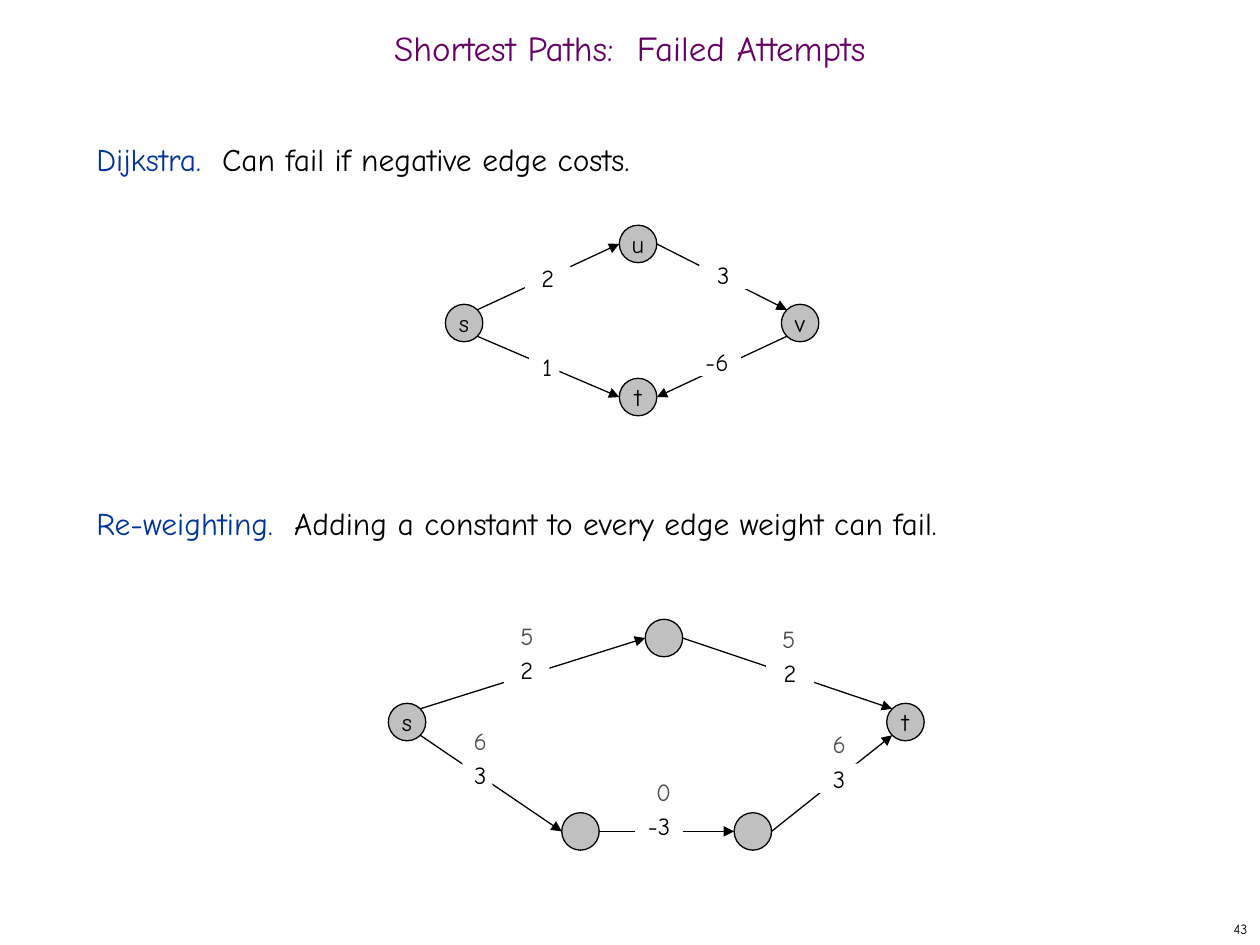
import math

import pptx
import pptx.dml.color
import pptx.enum.shapes
import pptx.enum.text
import pptx.oxml
import pptx.oxml.ns
import pptx.util

Pt = pptx.util.Pt
SHAPES = pptx.enum.shapes.MSO_SHAPE
ALIGN = pptx.enum.text.PP_ALIGN
MIDDLE = pptx.enum.text.MSO_ANCHOR.MIDDLE
INSETS = dict(margin_left=Pt(7.2), margin_right=Pt(7.2),
              margin_top=Pt(3.6), margin_bottom=Pt(3.6))
NO_INSETS = dict.fromkeys(INSETS, 0)


def color(value):
    return pptx.dml.color.RGBColor.from_string(value)


def apply(target, values):
    for name, value in values.items():
        setattr(target, name, value)


class GraphSlide:
    font = "Comic Neue"
    black, white, gray = "000000", "FFFFFF", "C0C0C0"
    purple, blue, dim = "660066", "003399", "4D4D4D"
    label_size = 14
    line_width = 0.75
    diameter = 21.4
    label_height = 16.8

    def __init__(self, slide):
        self.slide = slide

    def add_runs(self, paragraph, runs, size, **layout):
        apply(paragraph, layout)
        for text, hue in runs:
            run = paragraph.add_run()
            run.text = text
            apply(run.font, dict(name=self.font, size=Pt(size)))
            run.font.color.rgb = color(hue)

    def text(self, box, paragraphs, size, frame, **layout):
        shape = self.slide.shapes.add_textbox(*map(Pt, box))
        apply(shape.text_frame, INSETS | frame)
        for index, (runs, gap) in enumerate(paragraphs):
            paragraph = (shape.text_frame.add_paragraph() if index
                         else shape.text_frame.paragraphs[0])
            self.add_runs(paragraph, runs, size, space_before=Pt(gap), **layout)

    def node(self, x, y, name=""):
        radius = self.diameter / 2
        shape = self.slide.shapes.add_shape(
            SHAPES.OVAL, Pt(x - radius), Pt(y - radius), Pt(self.diameter), Pt(self.diameter))
        shape.shadow.inherit = False
        shape.fill.solid()
        shape.fill.fore_color.rgb = color(self.gray)
        shape.line.color.rgb = color(self.black)
        shape.line.width = Pt(self.line_width)
        if name:
            apply(shape.text_frame, INSETS | dict(word_wrap=False, vertical_anchor=MIDDLE))
            self.add_runs(shape.text_frame.paragraphs[0], [(name, self.black)],
                          self.label_size, alignment=ALIGN.CENTER)

    def rim(self, center, degrees):
        x, y = center
        angle = math.radians(degrees)
        radius = self.diameter / 2
        return Pt(x + radius * math.cos(angle)), Pt(y + radius * math.sin(angle))

    def edge(self, start, start_angle, end, end_angle):
        connector = self.slide.shapes.add_connector(
            pptx.enum.shapes.MSO_CONNECTOR.STRAIGHT,
            *self.rim(start, start_angle), *self.rim(end, end_angle))
        connector.line.color.rgb = color(self.black)
        connector.line.width = Pt(self.line_width)
        properties = connector.element.spPr
        namespace = pptx.oxml.ns.nsdecls("a")
        properties.find(pptx.oxml.ns.qn("a:ln")).append(
            pptx.oxml.parse_xml(f'<a:tailEnd {namespace} type="triangle"/>'))
        properties.append(pptx.oxml.parse_xml(f"<a:effectLst {namespace}/>"))

    def weight(self, value, left, top, width, inset=0):
        shape = self.slide.shapes.add_shape(
            SHAPES.RECTANGLE, Pt(left), Pt(top), Pt(width), Pt(self.label_height))
        shape.shadow.inherit = False
        shape.fill.solid()
        shape.fill.fore_color.rgb = color(self.white)
        shape.line.fill.background()
        apply(shape.text_frame, NO_INSETS | dict(
            margin_left=Pt(inset), word_wrap=True,
            vertical_anchor=pptx.enum.text.MSO_ANCHOR.TOP))
        self.add_runs(shape.text_frame.paragraphs[0], [(value, self.black)],
                      self.label_size, alignment=ALIGN.CENTER)

    def new_weight(self, value, left, top):
        self.text((left, top, 22.3, 24), [([(value, self.dim)], 0)],
                  self.label_size, dict(word_wrap=False))

    def graph(self, nodes, edges, weights):
        for name, center in nodes.items():
            self.node(*center, name if len(name) == 1 else "")
        for start, start_angle, end, end_angle in edges:
            self.edge(nodes[start], start_angle, nodes[end], end_angle)
        for weight in weights:
            self.weight(*weight)


def main():
    presentation = pptx.Presentation()
    presentation.slide_width, presentation.slide_height = Pt(720), Pt(540)
    page = GraphSlide(presentation.slides.add_slide(presentation.slide_layouts[6]))

    page.text((570, 522, 150, 18), [([("43", page.black)], 0)], 8,
              dict(word_wrap=False, vertical_anchor=MIDDLE), alignment=ALIGN.RIGHT)
    page.text((0, 12, 720, 36), [([("Shortest Paths:  Failed Attempts", page.purple)], 0)], 20,
              dict(word_wrap=True, vertical_anchor=MIDDLE),
              alignment=ALIGN.CENTER, line_spacing=0.7)
    page.text((48, 72, 618, 426), [
        ([("Dijkstra.  ", page.blue), ("Can fail if negative edge costs.", page.black)], 0),
        ([("Re-weighting.  ", page.blue),
          ("Adding a constant to every edge weight can fail.", page.black)], 182),
    ], 18, dict(word_wrap=True), line_spacing=Pt(26))

    page.graph(
        {"u": (364.6, 139.4), "t": (364.6, 226.9), "s": (265.2, 184.6), "v": (457.2, 184.6)},
        [("v", 135, "t", 0), ("s", 45, "t", 180), ("u", 0, "v", 225), ("s", -45, "u", 180)],
        [("2", 300, 150, 26), ("1", 302.4, 201, 17.3, 3.5),
         ("3", 399.6, 148.3, 27.4), ("-6", 396, 198, 27.4)])
    page.graph(
        {"top": (379.4, 364.6), "lower left": (331.7, 475.1), "lower right": (430.2, 475.1),
         "s": (232.6, 412.6), "t": (517.4, 412.6)},
        [("lower right", 0, "t", 135), ("s", 45, "lower left", 180), ("top", 0, "t", 225),
         ("s", -45, "top", 180), ("lower left", 0, "lower right", 180)],
        [("2", 288, 374.4, 26), ("3", 264.2, 434.2, 17.3, 3.5), ("2", 437.8, 375.8, 27.4),
         ("-3", 362.9, 463.7, 27.4), ("3", 465.8, 436.3, 27.4)])
    for value, left, top in [("5", 290.2, 351.4), ("5", 439.9, 352.8), ("6", 468.7, 413.3),
                             ("6", 263.5, 411.1), ("0", 367.9, 440.6)]:
        page.new_weight(value, left, top)

    presentation.save("out.pptx")


if __name__ == "__main__":
    main()
